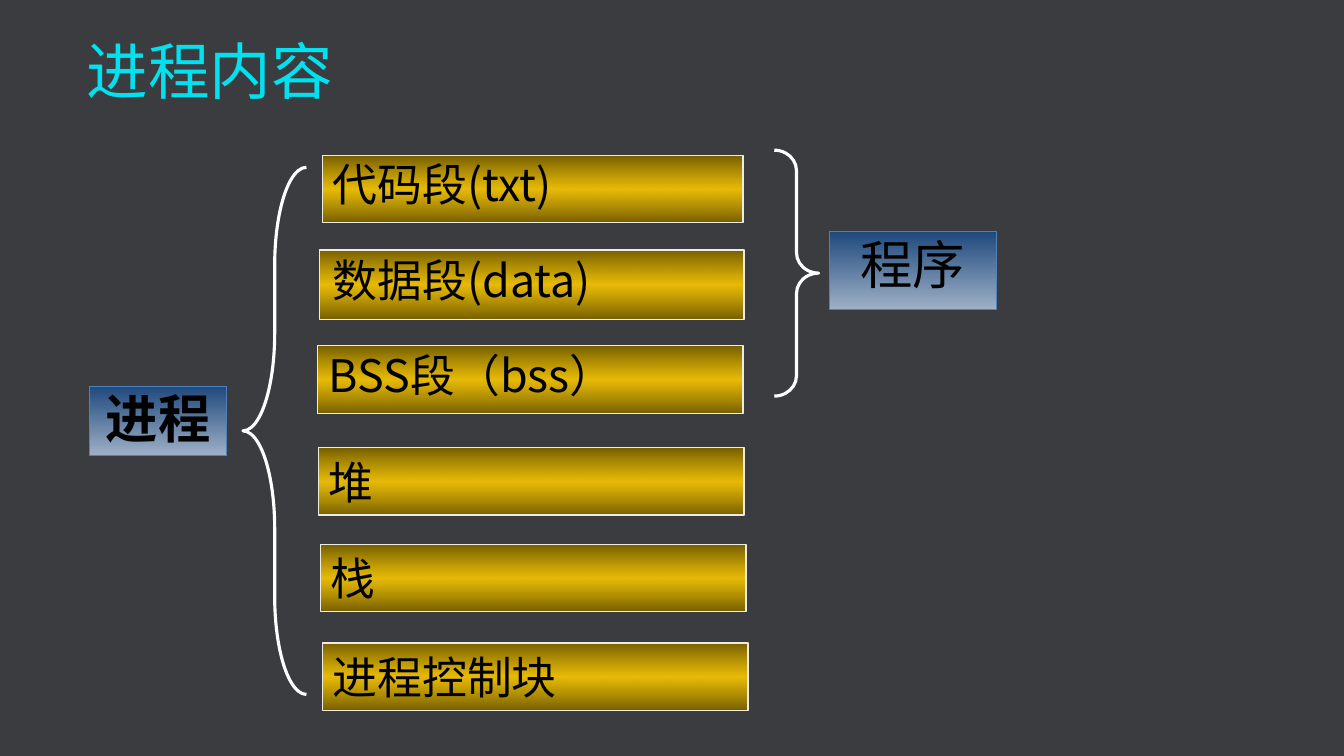
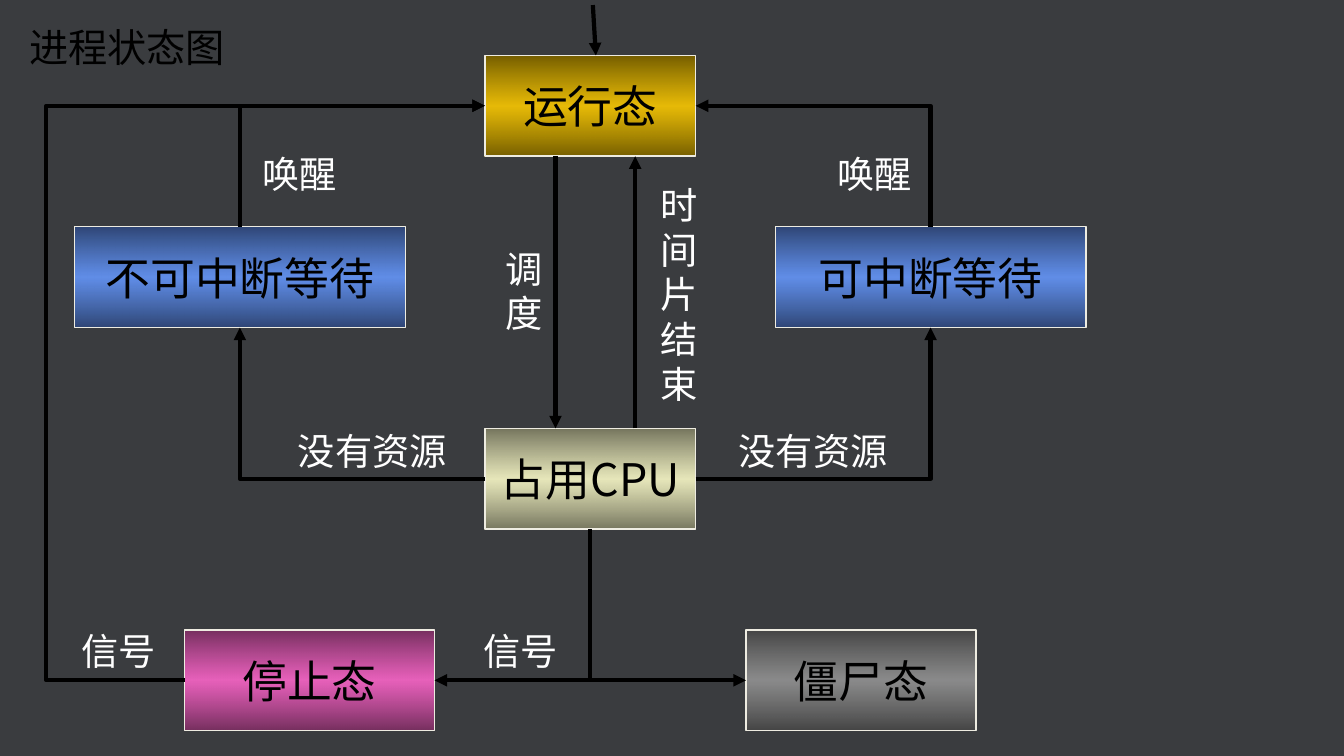
from pptx import Presentation
from pptx.dml.color import RGBColor
from pptx.enum.shapes import MSO_CONNECTOR as LINK, MSO_SHAPE as SHAPE
from pptx.enum.text import MSO_ANCHOR as ANCHOR, MSO_AUTO_SIZE as AUTO, PP_ALIGN as ALIGN
from pptx.oxml.ns import qn
from pptx.util import Pt
from lxml.etree import SubElement

# ---- Shared look ----
PX = 9144  # EMU per px, 100 px to the inch
FONT = "Noto Sans CJK SC"
SERIF = "Times New Roman"
BACK, BLACK, WHITE, CYAN = "3A3C3F", "000000", "FFFFFF", "01E1EF"
EDGE, NAVY, MIST, NAVY_EDGE = "EEECE1", "1F497D", "9EB0C6", "4F81BD"
GOLD, BLUE, GREY, PINK, CREAM = "FFCC00", "6699FF", "969696", "FF66CC", "FFFFCC"
SHADE = 0.46  # brightness of a glow box at top and bottom
TOP, LEFT, BOTTOM, RIGHT = range(4)

# ---- Slide 1: left, top, width, height in px ----
CONTENT_TITLE = ("进程内容", (76, 28, 1134, 55), 44, CYAN)
SEGMENTS = [  # text, place, left inset, font, line spacing
    ("代码段(txt)", (320, 154, 417, 67), 10, FONT, 0.8),
    ("数据段(data)", (317, 248, 421, 69), 13, FONT, 0.8),
    ("BSS段（bss）", (315, 343, 422, 67), 11, FONT, 0.8),
    ("堆", (316, 444, 422, 67), 10, SERIF, None),
    ("栈", (318, 540, 422, 67), 10, SERIF, None),
    ("进程控制块", (320, 638, 422, 67), 10, SERIF, None),
]
OWNERS = [  # text, place, font, bold
    ("程序", (823, 230, 165, 77), FONT, False),
    ("进程", (89, 383, 136, 69), "Arial", True),
]
BRACES = [  # shape, place, curve
    (SHAPE.RIGHT_BRACE, (768, 149, 44, 244), 0.46),
    (SHAPE.LEFT_BRACE, (241, 166, 63, 523), 1.54),
]

# ---- Slide 2 ----
STATE_TITLE = ("进程状态图", (19, 18, 297, 57), 28, BLACK)
STATES = {
    "运行态": ((481, 55, 209, 100), GOLD),
    "可中断等待": ((769, 225, 308, 100), BLUE),
    "僵尸态": ((740, 625, 228, 100), GREY),
    "停止态": ((183, 625, 248, 100), PINK),
    "占用CPU": ((481, 425, 209, 100), CREAM),
    "不可中断等待": ((74, 225, 328, 100), BLUE),
}
ELBOWS = [  # horizontal end, its side, vertical end, its side, arrow end
    ("占用CPU", RIGHT, "可中断等待", BOTTOM, "tail"),
    ("占用CPU", LEFT, "不可中断等待", BOTTOM, "tail"),
    ("运行态", RIGHT, "可中断等待", TOP, "head"),
    ("运行态", LEFT, "不可中断等待", TOP, "head"),
    ("僵尸态", LEFT, "占用CPU", BOTTOM, "head"),
    ("停止态", RIGHT, "占用CPU", BOTTOM, "head"),
]
RESUME = ("停止态", "运行态", 46)  # from, to, x of the outer run
ARROWS = [((551, 155), (551, 425)), ((630, 425), (630, 155)), ((588, 5), (591, 55))]
LABELS = [
    ("调度", (477, 239, 85, 100)),
    ("时间片结束", (635, 176, 78, 234)),
    ("唤醒", (218, 145, 159, 55)),
    ("唤醒", (788, 145, 159, 55)),
    ("信号", (437, 618, 159, 55)),
    ("信号", (38, 618, 159, 55)),
    ("没有资源", (281, 420, 177, 55)),
    ("没有资源", (718, 420, 177, 55)),
]


def rgb(value):
    return RGBColor.from_string(value)


def emu(lengths):
    return [length * PX for length in lengths]


def darken(color):
    return str(RGBColor(*(round(part * SHADE) for part in rgb(color))))


def write(shape, text, size, color=BLACK, font=FONT, bold=False, align=ALIGN.CENTER,
          anchor=ANCHOR.MIDDLE, spacing=None, inset=(10, 5)):
    frame = shape.text_frame
    frame.word_wrap, frame.auto_size, frame.vertical_anchor = True, AUTO.NONE, anchor
    frame.margin_left, frame.margin_top = emu(inset)
    paragraph = frame.paragraphs[0]
    paragraph.alignment, paragraph.line_spacing = align, spacing
    run = paragraph.add_run()
    run.text = text
    run.font.size, run.font.name, run.font.bold = Pt(size), font, bold
    run.font.color.rgb = rgb(color)
    SubElement(run.font._element, qn("a:ea"), typeface=FONT)


def add_titled_slide(prs, text, place, size, color):
    slide = prs.slides.add_slide(prs.slide_layouts[5])
    title = slide.shapes.title
    title.left, title.top, title.width, title.height = emu(place)
    write(title, text, size, color, align=ALIGN.LEFT, anchor=ANCHOR.TOP)
    return slide.shapes


def add_box(shapes, place, stops, edge, weight):
    """Rectangle with a downward gradient; a stop is position, colour, opacity."""
    box = shapes.add_shape(SHAPE.RECTANGLE, *emu(place))
    box.shadow.inherit = False
    box.fill.gradient()
    box.fill.gradient_angle = 270
    stop_list = box._element.spPr.find(qn("a:gradFill")).find(qn("a:gsLst"))
    for old in list(stop_list):
        stop_list.remove(old)
    for position, color, opacity in stops:
        stop = SubElement(stop_list, qn("a:gs"), pos=str(position * 1000))
        tone = SubElement(stop, qn("a:srgbClr"), val=color)
        if opacity < 100:
            SubElement(tone, qn("a:alpha"), val=str(opacity * 1000))
    box.line.color.rgb, box.line.width = rgb(edge), Pt(weight)
    return box


def add_glow_box(shapes, place, color):
    """Box that is bright in the middle and dark at top and bottom."""
    dark = darken(color)
    stops = [(0, dark, 100), (50, color, 88), (100, dark, 100)]
    return add_box(shapes, place, stops, EDGE, 1)


def add_link(shapes, kind, start, end, arrow="tail"):
    link = shapes.add_connector(kind, *emu(start + end))
    link.line.color.rgb, link.line.width = rgb(BLACK), Pt(3)
    SubElement(link.line._get_or_add_ln(), qn(f"a:{arrow}End"), type="triangle")
    SubElement(link._element.spPr, qn("a:effectLst"))
    return link


def side_middle(place, side):
    left, top, width, height = place
    across = {LEFT: 0, RIGHT: width}.get(side, width // 2)
    down = {TOP: 0, BOTTOM: height}.get(side, height // 2)
    return left + across, top + down


def join_states(shapes, boxes, start, start_side, end, end_side, arrow):
    link = add_link(shapes, LINK.ELBOW, side_middle(STATES[start][0], start_side),
                    side_middle(STATES[end][0], end_side), arrow)
    link.begin_connect(boxes[start], start_side)
    link.end_connect(boxes[end], end_side)
    return link._element.spPr.find(qn("a:prstGeom"))


def build_contents(prs):
    shapes = add_titled_slide(prs, *CONTENT_TITLE)
    for text, place, indent, font, spacing in SEGMENTS:
        segment = add_glow_box(shapes, place, GOLD)
        write(segment, text, 32, font=font, align=ALIGN.LEFT, spacing=spacing,
              inset=(indent, 5))
    for text, place, font, bold in OWNERS:
        owner = add_box(shapes, place, [(0, NAVY, 100), (100, MIST, 100)], NAVY_EDGE, 0.75)
        write(owner, text, 37.4, font=font, bold=bold, anchor=ANCHOR.TOP, inset=(10, 0))
    for kind, place, curve in BRACES:
        brace = shapes.add_shape(kind, *emu(place))
        brace.shadow.inherit = False
        brace.adjustments[0] = curve
        brace.fill.background()
        brace.line.color.rgb, brace.line.width = rgb(WHITE), Pt(2.25)


def build_states(prs):
    shapes = add_titled_slide(prs, *STATE_TITLE)
    boxes = {}
    for text, (place, color) in STATES.items():
        boxes[text] = add_glow_box(shapes, place, color)
        write(boxes[text], text, 32)
    # Transitions with one corner
    for elbow in ELBOWS:
        join_states(shapes, boxes, *elbow).set("prst", "bentConnector2")
    # Outer run from stopped back to running
    start, end, outer = RESUME
    route = join_states(shapes, boxes, start, LEFT, end, LEFT, "tail")
    start_x, end_x = STATES[start][0][0], STATES[end][0][0]
    bend = round((outer - start_x) / (end_x - start_x) * 100000)
    SubElement(route.find(qn("a:avLst")), qn("a:gd"), name="adj1", fmla=f"val {bend}")
    for start, end in ARROWS:
        add_link(shapes, LINK.STRAIGHT, start, end)
    for text, place in LABELS:
        write(shapes.add_textbox(*emu(place)), text, 26.6, WHITE, anchor=ANCHOR.TOP)


def main():
    prs = Presentation()
    prs.slide_width, prs.slide_height = emu((1333, 750))
    backdrop = prs.slide_master.background.fill
    backdrop.solid()
    backdrop.fore_color.rgb = rgb(BACK)
    build_contents(prs)
    build_states(prs)
    prs.save("out.pptx")


if __name__ == "__main__":
    main()
